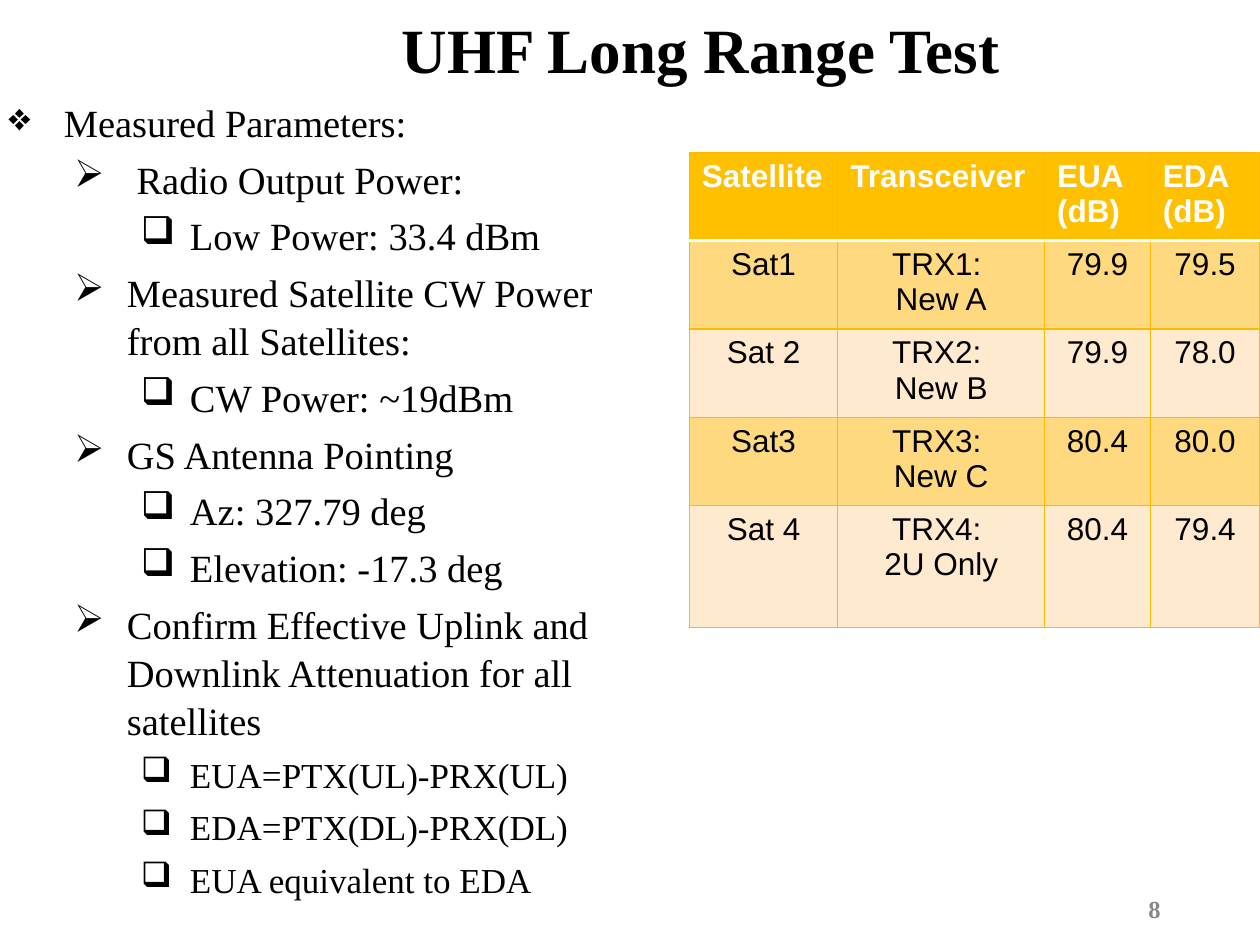
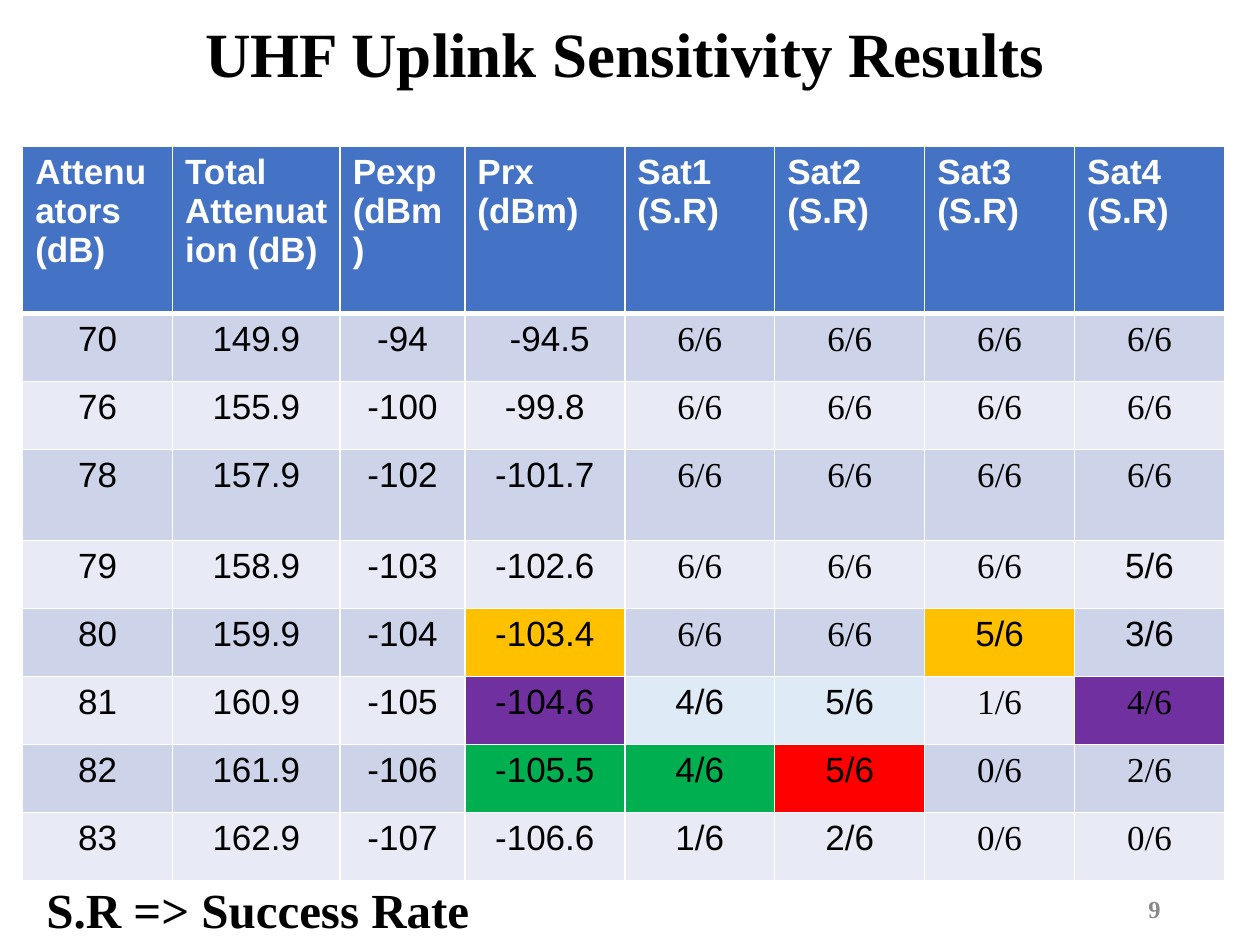
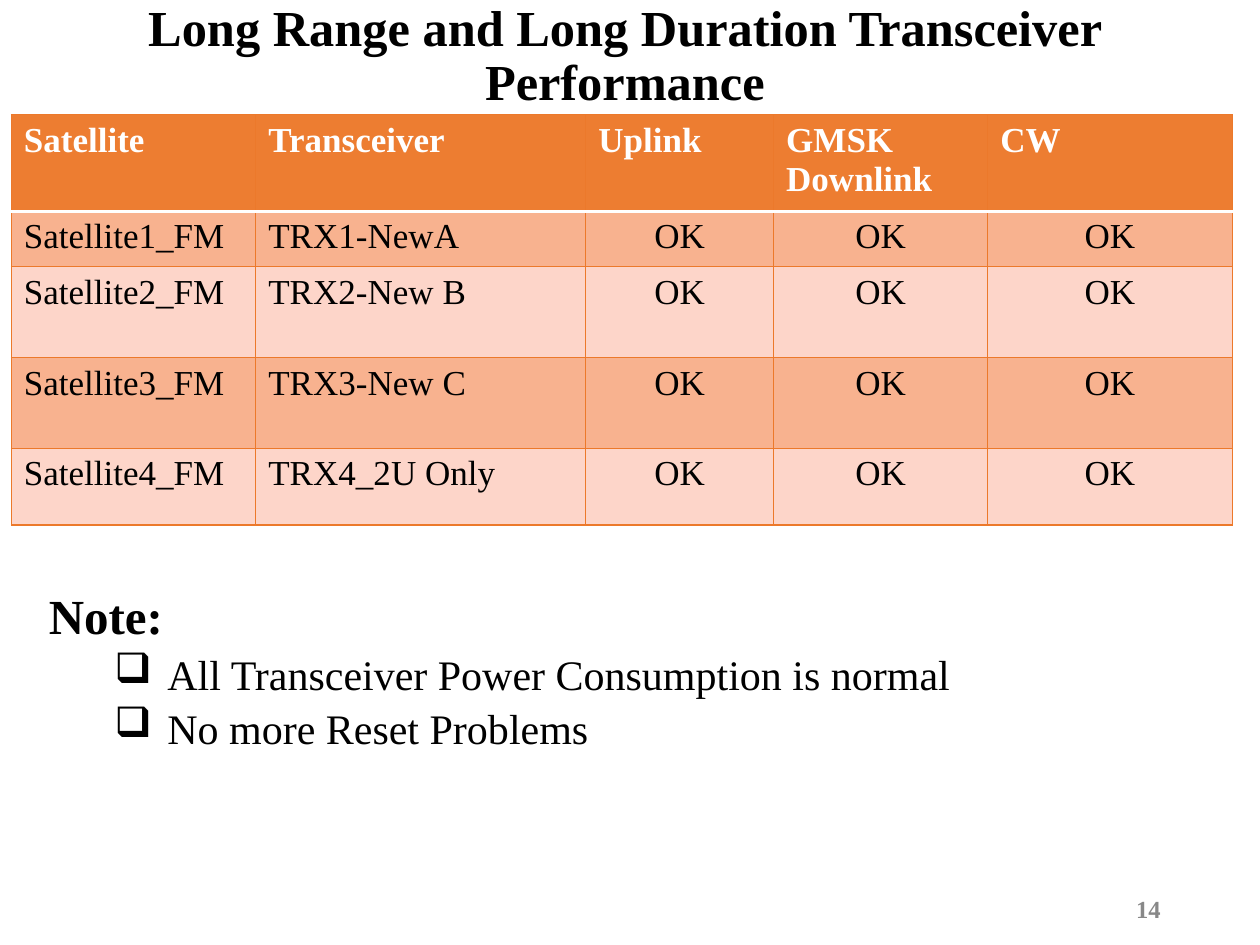
import pptx
import pptx.util
import pptx.dml.color
import pptx.enum.text
import lxml.etree
import pptx.oxml.ns

Inches = pptx.util.Inches
Pt = pptx.util.Pt
RGBColor = pptx.dml.color.RGBColor
ALIGN = pptx.enum.text.PP_ALIGN
ANCHOR = pptx.enum.text.MSO_ANCHOR

SERIF = "Times New Roman"
SANS = "Arial"
BLACK = RGBColor(0, 0, 0)
WHITE = RGBColor(255, 255, 255)
GRAY = RGBColor(0x88, 0x88, 0x88)
GOLD = RGBColor(0xFF, 0xC0, 0x00)
GOLD_EDGE = RGBColor(0xF9, 0xBC, 0x00)
GOLD_MID = RGBColor(0xFF, 0xD9, 0x7F)
GOLD_PALE = RGBColor(0xFF, 0xE9, 0xCF)
BLUE = RGBColor(0x44, 0x72, 0xC4)
BLUE_MID = RGBColor(0xCD, 0xD4, 0xEA)
BLUE_PALE = RGBColor(0xE8, 0xEB, 0xF5)
SKY = RGBColor(0xDE, 0xEB, 0xF7)
RUST = RGBColor(0xED, 0x7D, 0x31)
RUST_EDGE = RGBColor(0xEC, 0x79, 0x2B)
RUST_MID = RGBColor(0xF8, 0xB2, 0x8F)
RUST_PALE = RGBColor(0xFD, 0xD5, 0xC9)
PURPLE = RGBColor(0x70, 0x30, 0xA0)
GREEN = RGBColor(0x00, 0xB0, 0x50)
RED = RGBColor(0xFF, 0x00, 0x00)

TITLE = (0.27, 0, 9.38, 0.91)
NUMBER = (7.06, 7.01, 2.25, 0.4)
DIAMOND = ("❖", 0.5, 0.44)
ARROW = ("➢", 1, 0.42)
BOX = ("❑", 1.5, 0.39)
NOTE = ("❑", 1, 0.42)

POINTS = [
    (DIAMOND, "Measured Parameters:", 22),
    (ARROW, " Radio Output Power:", 22),
    (BOX, "Low Power: 33.4 dBm", 22),
    (ARROW, "Measured Satellite CW Power from all Satellites:", 22),
    (BOX, "CW Power: ~19dBm", 22),
    (ARROW, "GS Antenna Pointing", 22),
    (BOX, "Az: 327.79 deg", 22),
    (BOX, "Elevation: -17.3 deg", 22),
    (ARROW, "Confirm Effective Uplink and Downlink Attenuation for all satellites", 22),
    (BOX, "EUA=PTX(UL)-PRX(UL)", 20),
    (BOX, "EDA=PTX(DL)-PRX(DL)", 20),
    (BOX, "EUA equivalent to EDA", 20),
]
RANGE = [
    ["Satellite", "Transceiver", "EUA\n(dB)", "EDA (dB)"],
    ["Sat1", "TRX1: \nNew A", "79.9", "79.5"],
    ["Sat 2", "TRX2: \nNew B", "79.9", "78.0"],
    ["Sat3", "TRX3: \nNew C", "80.4", "80.0"],
    ["Sat 4", "TRX4: \n2U Only", "80.4", "79.4"],
]
UPLINK = [
    ["Attenuators (dB)", "Total Attenuation (dB)", "Pexp\n(dBm)", "Prx\n(dBm)"]
    + [f"Sat{n}\n(S.R)" for n in range(1, 5)],
    ["70", "149.9", "-94", " -94.5", "6/6", "6/6", "6/6", "6/6"],
    ["76", "155.9", "-100", "-99.8", "6/6", "6/6", "6/6", "6/6"],
    ["78", "157.9", "-102", "-101.7", "6/6", "6/6", "6/6", "6/6"],
    ["79", "158.9", "-103", "-102.6", "6/6", "6/6", "6/6", "5/6"],
    ["80", "159.9", "-104", "-103.4", "6/6", "6/6", "5/6", "3/6"],
    ["81", "160.9", "-105", "-104.6", "4/6", "5/6", "1/6", "4/6"],
    ["82", "161.9", "-106", "-105.5", "4/6", "5/6", "0/6", "2/6"],
    ["83", "162.9", "-107", "-106.6", "1/6", "2/6", "0/6", "0/6"],
]
MARKS = {
    (5, 3): GOLD, (5, 6): GOLD, (6, 3): PURPLE, (6, 7): PURPLE,
    (6, 4): SKY, (6, 5): SKY, (7, 3): GREEN, (7, 4): GREEN, (7, 5): RED,
}
SANS_RATES = {(6, 4), (6, 5), (7, 4), (7, 5), (8, 4), (8, 5), (5, 6), (4, 7), (5, 7)}
STATUS = [["Satellite", "Transceiver", "Uplink", "GMSK Downlink", "CW"]] + [
    [f"Satellite{n}_FM", name, "OK", "OK", "OK"]
    for n, name in enumerate(["TRX1-NewA", "TRX2-New B", "TRX3-New C", "TRX4_2U Only"], 1)
]


def apply(item, values):
    for key, value in values.items():
        setattr(item, key, value)


def ink(font, size, color=BLACK, bold=False, name=SERIF):
    apply(font, {"size": Pt(size), "bold": bold, "name": name})
    font.color.rgb = color


def add_box(slide, place, anchor=ANCHOR.TOP, wrap=True):
    frame = slide.shapes.add_textbox(*map(Inches, place)).text_frame
    apply(frame, {"word_wrap": wrap, "vertical_anchor": anchor})
    return frame


def add_line(slide, place, text, size, color=BLACK, align=ALIGN.LEFT, space=1.0,
             anchor=ANCHOR.MIDDLE, wrap=True):
    para = add_box(slide, place, anchor, wrap).paragraphs[0]
    apply(para, {"text": text, "alignment": align, "line_spacing": space})
    ink(para.runs[0].font, size, color, True)


def add_title(slide, text, size=36, place=TITLE):
    add_line(slide, place, text, size, align=ALIGN.CENTER, space=0.9)


def add_number(slide, text):
    add_line(slide, NUMBER, text, 14, GRAY, ALIGN.RIGHT)


def set_bullet(para, mark, left, hang):
    props = para._p.get_or_add_pPr()
    props.set("marL", str(Inches(left)))
    props.set("indent", str(-Inches(hang)))
    if mark:
        color = lxml.etree.SubElement(props, pptx.oxml.ns.qn("a:buClr"))
        lxml.etree.SubElement(color, pptx.oxml.ns.qn("a:srgbClr"), val=str(BLACK))
        lxml.etree.SubElement(props, pptx.oxml.ns.qn("a:buChar"), char=mark)


def add_list(slide, place, items, space):
    frame = add_box(slide, place)
    for i, (bullet, text, size) in enumerate(items):
        para = frame.add_paragraph() if i else frame.paragraphs[0]
        set_bullet(para, *bullet)
        apply(para, {"text": text, "line_spacing": space, "space_before": Pt(5 if i else 0)})
        ink(para.runs[0].font, size, bold=not bullet[0])


def set_edge(cell, side, color, width):
    line = lxml.etree.SubElement(
        cell._tc.get_or_add_tcPr(), pptx.oxml.ns.qn("a:ln" + side), w=str(Pt(width)))
    fill = lxml.etree.SubElement(line, pptx.oxml.ns.qn("a:solidFill"))
    lxml.etree.SubElement(fill, pptx.oxml.ns.qn("a:srgbClr"), val=str(color))


def add_grid(slide, place, data, cols, rows, fills, edge, rule, size, name, left=(),
             marks={}, pick=None):
    left_in, top = place
    grid = slide.shapes.add_table(
        len(rows), len(cols), Inches(left_in), Inches(top),
        Inches(sum(cols)), Inches(sum(rows))).table
    apply(grid, {"first_row": False, "horz_banding": False})
    for col, width in zip(grid.columns, cols):
        col.width = Inches(width)
    for row, height in zip(grid.rows, rows):
        row.height = Inches(height)
    head, odd, even = fills
    for r, texts in enumerate(data):
        for c, text in enumerate(texts):
            cell = grid.cell(r, c)
            cell.text = text
            for side in "LRTB":
                ruled = (r, side) in ((0, "B"), (1, "T"))
                set_edge(cell, side, *((WHITE, rule) if ruled else edge))
            cell.fill.solid()
            band = odd if r % 2 else even
            cell.fill.fore_color.rgb = marks.get((r, c), band) if r else head
            for para in cell.text_frame.paragraphs:
                para.alignment = ALIGN.CENTER if r and c not in left else ALIGN.LEFT
                ink(para.runs[0].font, size, BLACK if r else WHITE, r == 0,
                    pick(r, c) if pick else name)


def rate_font(r, c):
    return SERIF if r and c > 3 and (r, c) not in SANS_RATES else SANS


def range_slide(slide):
    add_list(slide, (-0.09, 0.72, 5.56, 6.78), POINTS, 1.04)
    add_title(slide, "UHF Long Range Test", place=(0.87, -0.03, 9.38, 0.91))
    add_number(slide, "8")
    add_grid(slide, (5.47, 1.21), RANGE, [1.18, 1.64, 0.84, 0.87], [0.68] * 4 + [0.97],
             (GOLD, GOLD_MID, GOLD_PALE), (GOLD_EDGE, 0.75), 2, 18, SANS)


def uplink_slide(slide):
    add_title(slide, "UHF Uplink Sensitivity Results")
    add_number(slide, "9")
    add_grid(slide, (0.18, 1.16), UPLINK, [1.19, 1.33, 0.99, 1.27] + [1.19] * 4,
             [1.33, 0.54, 0.54, 0.72] + [0.54] * 5, (BLUE, BLUE_MID, BLUE_PALE),
             (WHITE, 1), 3, 20, SANS, marks=MARKS, pick=rate_font)
    add_line(slide, (0.27, 6.93, 3.6, 0.57), "S.R => Success Rate", 28,
             anchor=ANCHOR.TOP, wrap=False)


def status_slide(slide):
    add_list(slide, (0.23, 4.65, 9.38, 2.85), [
        ((None, 0.06, 0), "Note:", 28),
        (NOTE, "All Transceiver Power Consumption is normal", 24),
        (NOTE, "No more Reset Problems", 24),
    ], 0.9)
    add_title(slide, "Long Range and Long Duration Transceiver Performance", 28.8)
    add_number(slide, "14")
    add_grid(slide, (0.09, 0.91), STATUS, [1.94, 2.62, 1.49, 1.7, 1.94],
             [0.72, 0.44, 0.72, 0.72, 0.61], (RUST, RUST_MID, RUST_PALE),
             (RUST_EDGE, 0.75), 2, 20, SERIF, left=(0, 1))


def main():
    deck = pptx.Presentation()
    apply(deck, {"slide_width": Inches(10), "slide_height": Inches(7.5)})
    for build in (range_slide, uplink_slide, status_slide):
        build(deck.slides.add_slide(deck.slide_layouts[6]))
    deck.save("out.pptx")


if __name__ == "__main__":
    main()
